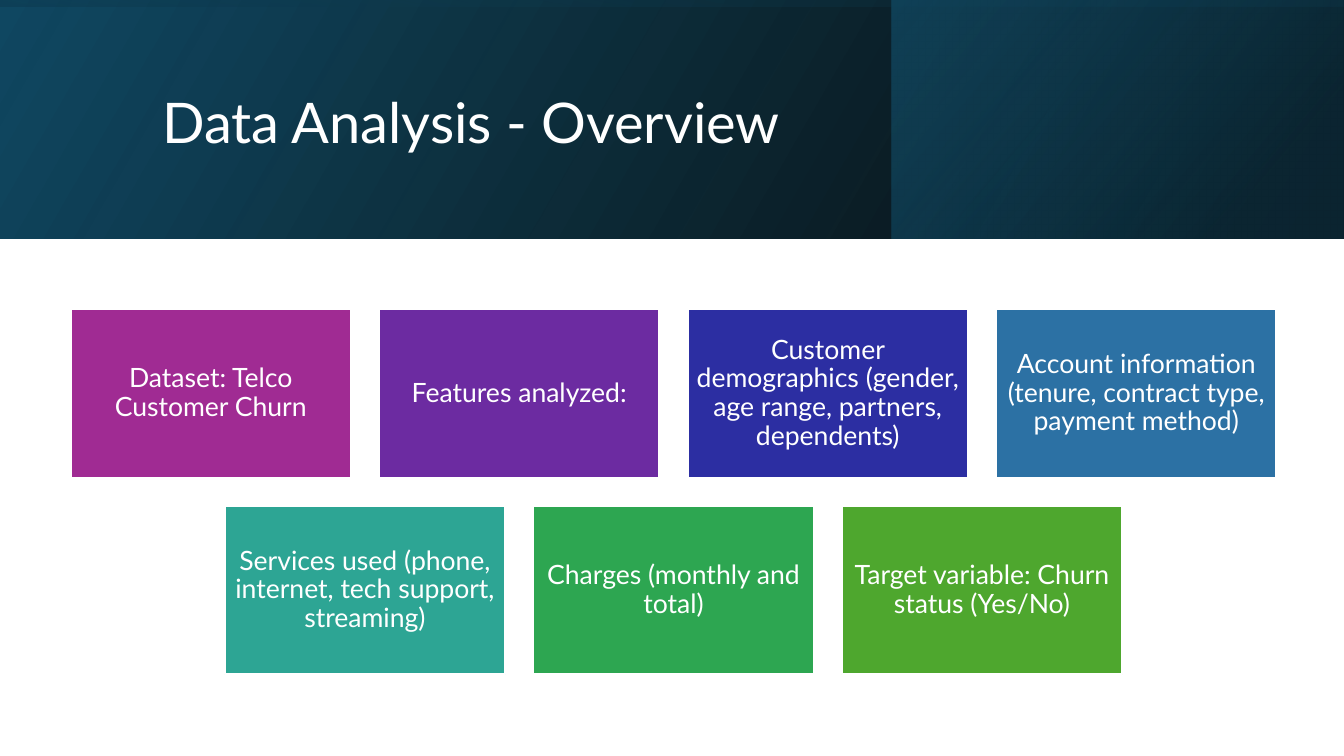
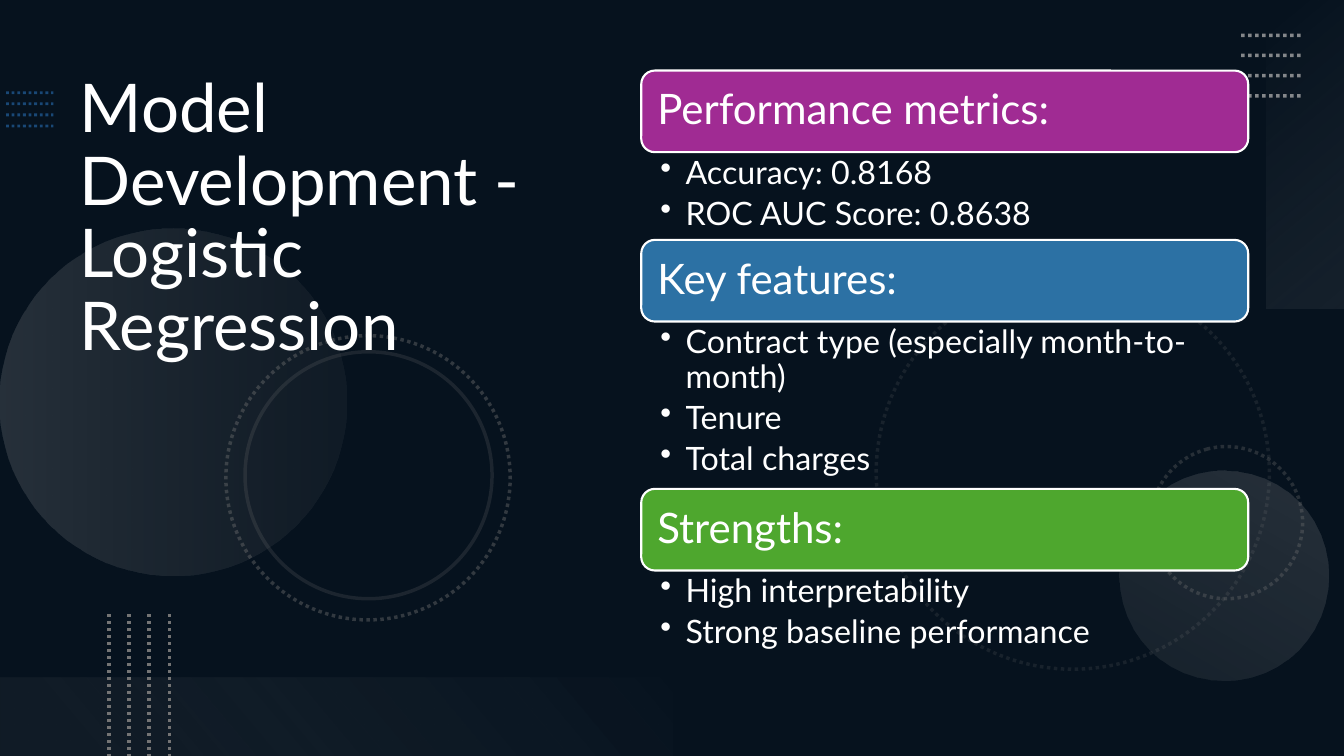
from dataclasses import dataclass
from typing import Optional

from lxml.etree import SubElement
from pptx import Presentation
from pptx.dml.color import RGBColor
from pptx.enum.dml import MSO_LINE
from pptx.enum.shapes import MSO_CONNECTOR, MSO_SHAPE
from pptx.enum.text import MSO_ANCHOR, MSO_AUTO_SIZE, PP_ALIGN
from pptx.oxml.ns import qn
from pptx.util import Emu, Pt

EMU_PER_PX = 9144  # 100 px to the inch
SLIDE_WIDTH, SLIDE_HEIGHT = 1333, 750
FONT = "Lato"
WHITE, BLACK, NAVY = "FFFFFF", "000000", "0E2841"
MAGENTA, BLUE, GREEN = "A02B93", "2C71A4", "4EA72E"
DEEP_TEAL, TEAL = "104862", "156082"
GREY, LIGHT_GREY = "747474", "AEAEAE"


@dataclass(frozen=True)
class Box:
    left: int
    top: int
    width: int
    height: int


@dataclass(frozen=True)
class Stop:
    position: int
    color: str
    opacity: int


@dataclass(frozen=True)
class Panel:
    """A gradient-filled shape without outline."""
    box: Box
    stops: tuple[Stop, Stop]
    angle: int
    rotation: int = 0
    flipped: bool = False
    preset: MSO_SHAPE = MSO_SHAPE.RECTANGLE


@dataclass(frozen=True)
class Ring:
    box: Box
    opacity: int
    dotted: bool = True


@dataclass(frozen=True)
class DottedLines:
    """Parallel dotted lines, each moved by the same step."""
    start: tuple[int, int]
    length: tuple[int, int]
    step: tuple[int, int]
    color: str
    weight: float
    opacity: int = 100
    count: int = 4


@dataclass(frozen=True)
class Tile:
    text: str
    color: str


@dataclass(frozen=True)
class Section:
    heading: str
    color: str
    body_height: int
    bullets: tuple[str, ...]


BANNER = (
    Panel(Box(0, 0, 1333, 237), (Stop(0, BLACK, 96), Stop(100, DEEP_TEAL, 100)), 330, flipped=True),
    Panel(Box(884, 0, 448, 237), (Stop(19, "0B3041", 68), Stop(100, TEAL, 48)), 320, flipped=True),
    Panel(Box(548, -548, 237, 1333), (Stop(23, DEEP_TEAL, 16), Stop(99, BLACK, 45)), 350, 270, True),
)

TILE_ROWS = (
    (
        Tile("Dataset: Telco Customer Churn", MAGENTA),
        Tile("Features analyzed:", "6C2BA1"),
        Tile("Customer demographics (gender, age range, partners, dependents)", "2C2EA2"),
        Tile("Account information (tenure, contract type, payment method)", BLUE),
    ),
    (
        Tile("Services used (phone, internet, tech support, streaming)", "2DA594"),
        Tile("Charges (monthly and total)", "2DA651"),
        Tile("Target variable: Churn status (Yes/No)", GREEN),
    ),
)
TILE_WIDTH, TILE_HEIGHT, TILE_GAP = 278, 167, 28
TILES_TOP, TILES_CENTER = 307, 668

DECORATIONS = (
    DottedLines((6, 92), (47, 0), (0, 11), "2D7FCF", 2, 50),
    Ring(Box(869, 274, 390, 390), 16),
    Ring(Box(1141, 443, 151, 151), 30),
    Panel(Box(0, 227, 344, 344), (Stop(0, LIGHT_GREY, 20), Stop(100, GREY, 10)), 90, 270,
          preset=MSO_SHAPE.OVAL),
    Panel(Box(1110, 467, 208, 208), (Stop(0, LIGHT_GREY, 10), Stop(100, LIGHT_GREY, 20)), 90, 210,
          preset=MSO_SHAPE.OVAL),
    Ring(Box(224, 333, 282, 282), 40),
    Ring(Box(243, 349, 245, 245), 20, dotted=False),
    Panel(Box(1142, 114, 306, 78), (Stop(0, "F6F6F6", 0), Stop(100, LIGHT_GREY, 10)), 140, 270),
    DottedLines((1231, 35), (60, 0), (0, 20), LIGHT_GREY, 2.5, 75),
    Panel(Box(0, 672, 667, 78), (Stop(10, GREY, 10), Stop(100, "F1F1F1", 0)), 140, 180),
    DottedLines((108, 609), (0, 141), (20, 0), GREY, 2.5),
)

SECTIONS = (
    Section("Performance metrics:", MAGENTA, 87, ("Accuracy: 0.8168", "ROC AUC Score: 0.8638")),
    Section("Key features:", BLUE, 166,
            ("Contract type (especially month-to-month)", "Tenure", "Total charges")),
    Section("Strengths:", GREEN, 87, ("High interpretability", "Strong baseline performance")),
)
SECTIONS_LEFT, SECTIONS_TOP, SECTION_WIDTH, HEADING_HEIGHT = 636, 70, 602, 81


def px(length: int) -> Emu:
    return Emu(length * EMU_PER_PX)


def rgb(color: str) -> RGBColor:
    return RGBColor.from_string(color)


def corners(box: Box) -> tuple[Emu, Emu, Emu, Emu]:
    return px(box.left), px(box.top), px(box.width), px(box.height)


def set_opacity(parent, percent: int) -> None:
    """Make the first colour below an XML element partly transparent."""
    if percent < 100:
        color = parent.find(".//" + qn("a:srgbClr"))
        SubElement(color, qn("a:alpha")).set("val", str(percent * 1000))


def set_line(shape, color: str, weight: float, opacity: int = 100, dotted: bool = False) -> None:
    shape.line.color.rgb = rgb(color)
    shape.line.width = Pt(weight)
    if dotted:
        shape.line.dash_style = MSO_LINE.ROUND_DOT
    set_opacity(shape._element.spPr.find(qn("a:ln")), opacity)


def add_plain_shape(slide, preset: MSO_SHAPE, box: Box, fill: Optional[str] = None):
    shape = slide.shapes.add_shape(preset, *corners(box))
    shape.shadow.inherit = False
    shape.line.fill.background()
    if fill:
        shape.fill.solid()
        shape.fill.fore_color.rgb = rgb(fill)
    else:
        shape.fill.background()
    return shape


def add_panel(slide, panel: Panel) -> None:
    shape = add_plain_shape(slide, panel.preset, panel.box)
    shape.rotation = panel.rotation
    properties = shape._element.spPr
    if panel.flipped:
        properties.find(qn("a:xfrm")).set("flipH", "1")
    shape.fill.gradient()
    gradient = properties.find(qn("a:gradFill"))
    for child in list(gradient):
        gradient.remove(child)
    gradient.set("rotWithShape", "1")
    stop_list = SubElement(gradient, qn("a:gsLst"))
    for stop in panel.stops:
        entry = SubElement(stop_list, qn("a:gs"))
        entry.set("pos", str(stop.position * 1000))
        SubElement(entry, qn("a:srgbClr")).set("val", stop.color)
        set_opacity(entry, stop.opacity)
    direction = SubElement(gradient, qn("a:lin"))
    direction.set("ang", str(panel.angle * 60000))
    direction.set("scaled", "0")


def add_ring(slide, ring: Ring) -> None:
    shape = add_plain_shape(slide, MSO_SHAPE.OVAL, ring.box)
    shape.rotation = 75
    set_line(shape, GREY, 2.5, ring.opacity, ring.dotted)


def add_dotted_lines(slide, lines: DottedLines) -> None:
    for index in range(lines.count):
        x = lines.start[0] + index * lines.step[0]
        y = lines.start[1] + index * lines.step[1]
        connector = slide.shapes.add_connector(
            MSO_CONNECTOR.STRAIGHT, px(x), px(y), px(x + lines.length[0]), px(y + lines.length[1]))
        set_line(connector, lines.color, lines.weight, lines.opacity, dotted=True)
        SubElement(connector._element.spPr, qn("a:effectLst"))


def set_margins(frame, left: int, top: int, right: int, bottom: int) -> None:
    frame.margin_left, frame.margin_top = px(left), px(top)
    frame.margin_right, frame.margin_bottom = px(right), px(bottom)


def write(paragraph, text: str, size: int, alignment: PP_ALIGN = PP_ALIGN.LEFT) -> None:
    paragraph.alignment = alignment
    paragraph.line_spacing = 0.9
    run = paragraph.add_run()
    run.text = text
    run.font.name = FONT
    run.font.size = Pt(size)
    run.font.color.rgb = rgb(WHITE)


def add_label(slide, preset: MSO_SHAPE, box: Box, color: str, text: str, size: int, margin: int,
              alignment: PP_ALIGN) -> None:
    shape = add_plain_shape(slide, preset, box, color)
    set_line(shape, WHITE, 1.5)
    frame = shape.text_frame
    frame.word_wrap = True
    frame.vertical_anchor = MSO_ANCHOR.MIDDLE
    set_margins(frame, margin, margin, margin, margin)
    write(frame.paragraphs[0], text, size, alignment)


def add_bullets(slide, box: Box, bullets: tuple[str, ...]) -> None:
    frame = slide.shapes.add_textbox(*corners(box)).text_frame
    frame.word_wrap = True
    set_margins(frame, 19, 4, 23, 4)
    for index, text in enumerate(bullets):
        paragraph = frame.add_paragraph() if index else frame.paragraphs[0]
        paragraph.space_after = Pt(4.6)
        paragraph.line_spacing = 0.9
        properties = paragraph._p.get_or_add_pPr()
        properties.set("marL", str(px(25)))
        properties.set("indent", str(-px(25)))
        SubElement(properties, qn("a:buChar")).set("char", "•")
        write(paragraph, text, 23)


def place_title(slide, box: Box, text: str, size: int, anchor: MSO_ANCHOR) -> None:
    """Format the title placeholder and bring it to the front."""
    title = slide.shapes.title
    title.left, title.top, title.width, title.height = corners(box)
    frame = title.text_frame
    frame.word_wrap = True
    frame.auto_size = MSO_AUTO_SIZE.NONE
    frame.vertical_anchor = anchor
    write(frame.paragraphs[0], text, size)
    slide.shapes._spTree.append(title._element)


def add_slide(presentation, background: str):
    slide = presentation.slides.add_slide(presentation.slide_layouts[5])
    slide.background.fill.solid()
    slide.background.fill.fore_color.rgb = rgb(background)
    return slide


def build_overview(presentation) -> None:
    slide = add_slide(presentation, WHITE)
    for panel in BANNER:
        add_panel(slide, panel)
    place_title(slide, Box(151, 38, 1063, 172), "Data Analysis - Overview", 40, MSO_ANCHOR.MIDDLE)
    for row_index, row in enumerate(TILE_ROWS):
        row_width = len(row) * (TILE_WIDTH + TILE_GAP) - TILE_GAP
        top = TILES_TOP + row_index * (TILE_HEIGHT + TILE_GAP)
        for column, tile in enumerate(row):
            left = TILES_CENTER - row_width // 2 + column * (TILE_WIDTH + TILE_GAP)
            add_label(slide, MSO_SHAPE.RECTANGLE, Box(left, top, TILE_WIDTH, TILE_HEIGHT),
                      tile.color, tile.text, 19, 8, PP_ALIGN.CENTER)


def build_model(presentation) -> None:
    slide = add_slide(presentation, NAVY)
    shade = add_plain_shape(slide, MSO_SHAPE.RECTANGLE, Box(0, 0, SLIDE_WIDTH, SLIDE_HEIGHT), BLACK)
    set_opacity(shade._element.spPr, 53)
    painters = {Panel: add_panel, Ring: add_ring, DottedLines: add_dotted_lines}
    for decoration in DECORATIONS:
        painters[type(decoration)](slide, decoration)
    place_title(slide, Box(69, 69, 541, 603), "Model Development - Logistic Regression", 48,
                MSO_ANCHOR.TOP)
    top = SECTIONS_TOP
    for section in SECTIONS:
        add_label(slide, MSO_SHAPE.ROUNDED_RECTANGLE,
                  Box(SECTIONS_LEFT, top, SECTION_WIDTH, HEADING_HEIGHT),
                  section.color, section.heading, 30, 12, PP_ALIGN.LEFT)
        top += HEADING_HEIGHT
        add_bullets(slide, Box(SECTIONS_LEFT, top, SECTION_WIDTH, section.body_height),
                    section.bullets)
        top += section.body_height


def main() -> None:
    presentation = Presentation()
    presentation.slide_width, presentation.slide_height = px(SLIDE_WIDTH), px(SLIDE_HEIGHT)
    build_overview(presentation)
    build_model(presentation)
    presentation.save("out.pptx")


if __name__ == "__main__":
    main()
